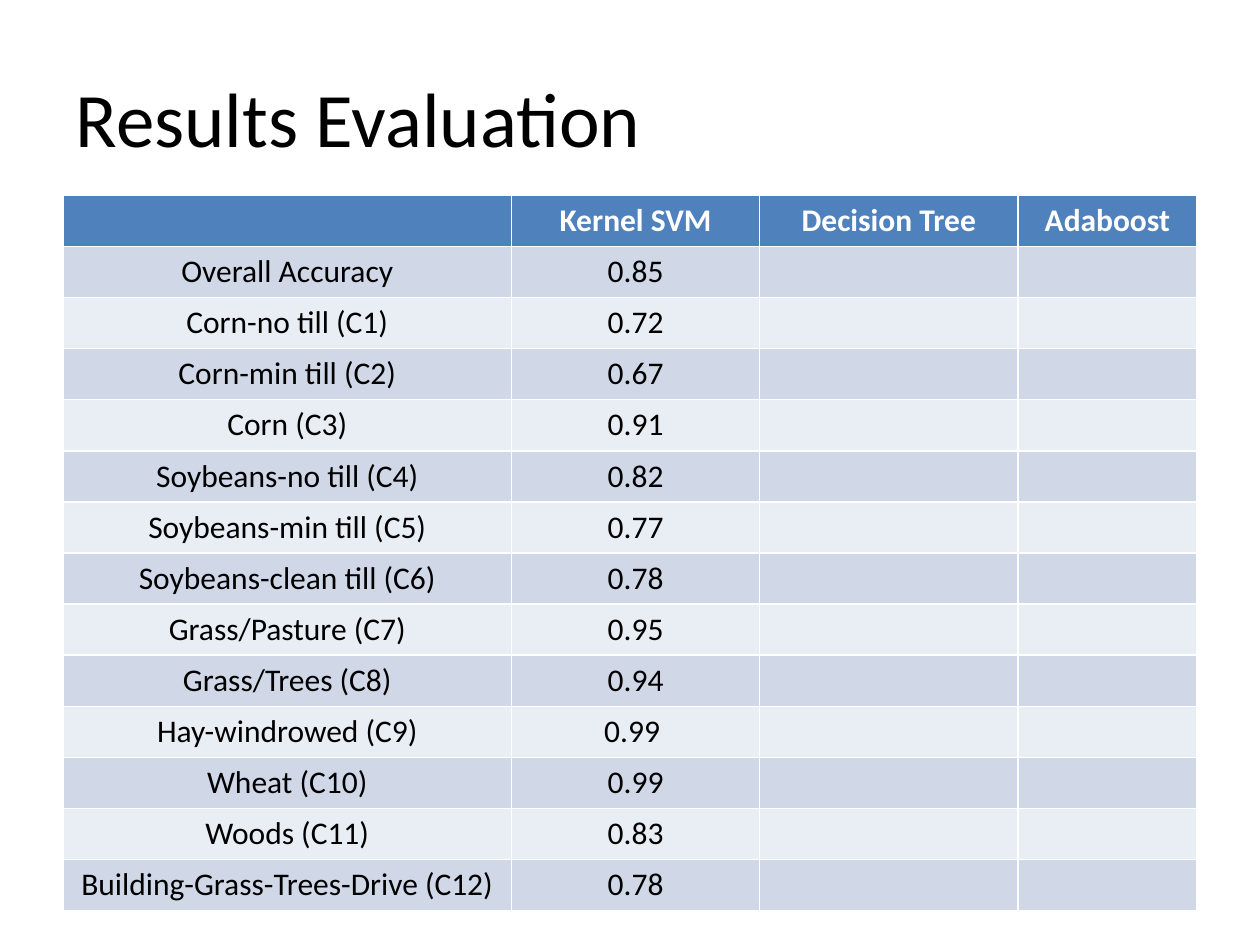
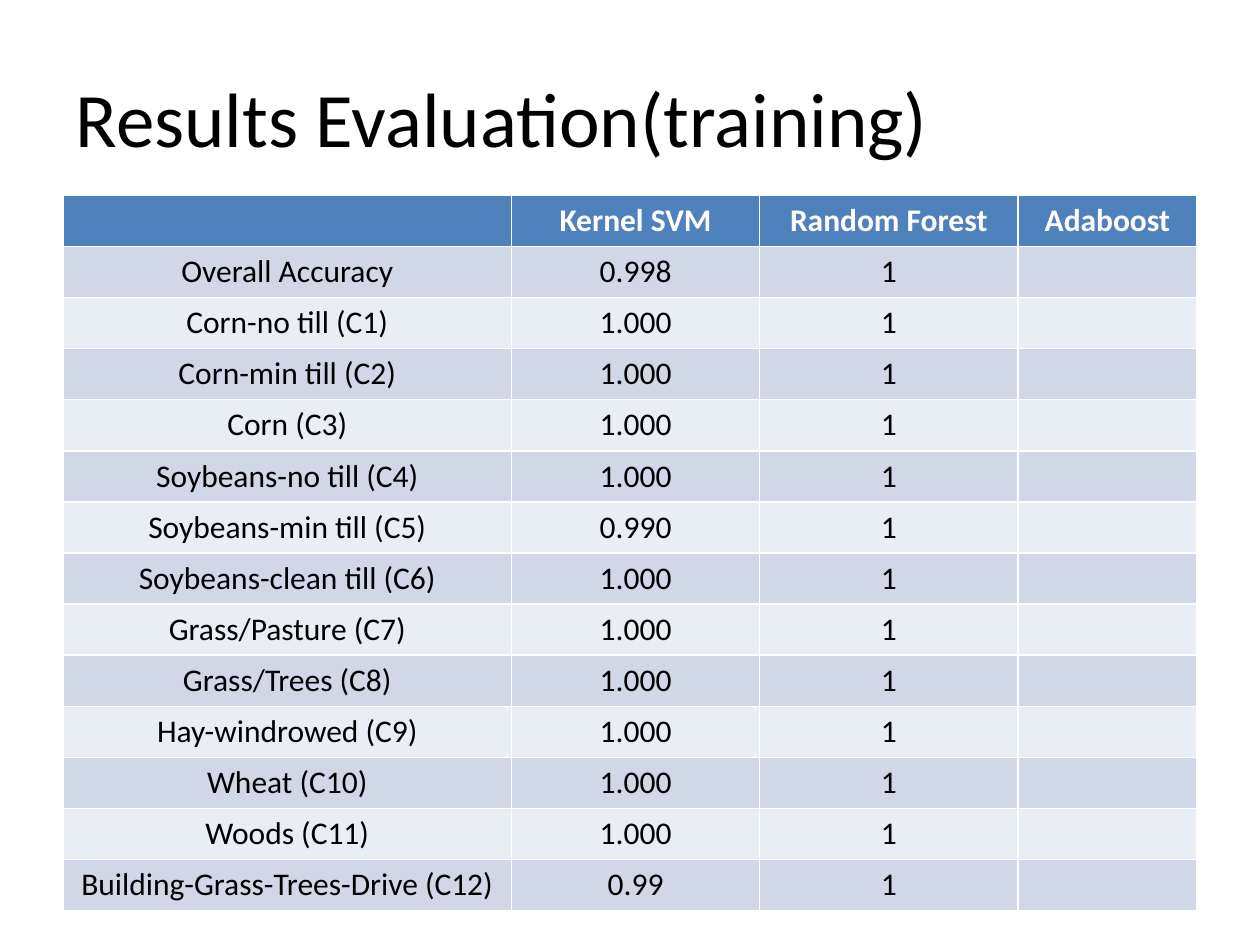
"""Build two slides comparing classifier accuracy per land-cover class."""
from pptx import Presentation
from pptx.dml.color import RGBColor
from pptx.enum.text import MSO_ANCHOR as Anchor, PP_ALIGN as Align
from pptx.util import Inches, Pt

BLACK = RGBColor(0x00, 0x00, 0x00)
WHITE = RGBColor(0xFF, 0xFF, 0xFF)
HEADER_BLUE = RGBColor(0x4F, 0x81, 0xBD)
BANDS = (RGBColor(0xE9, 0xED, 0xF4), RGBColor(0xD0, 0xD8, 0xE8))

MEASURES = (
    "Overall Accuracy", "Corn-no till (C1)", "Corn-min till (C2)", "Corn (C3)",
    "Soybeans-no till (C4)", "Soybeans-min till (C5)", "Soybeans-clean till (C6)",
    "Grass/Pasture (C7)", "Grass/Trees (C8)", "Hay-windrowed (C9)",
    "Wheat (C10)", "Woods (C11)", "Building-Grass-Trees-Drive (C12)",
)
UNTESTED = ("",) * len(MEASURES)
TEST_SVM = ("0.85", "0.72", "0.67", "0.91", "0.82", "0.77", "0.78",
            "0.95", "0.94", "0.99 ", "0.99", "0.83", "0.78")
TRAINING_SVM = ("0.998", *["1.000"] * 4, "0.990", *["1.000"] * 6, "0.99")
TRAINING_FOREST = ("1",) * len(MEASURES)


def write(frame, text, size=18, color=BLACK, bold=False, align=Align.CENTER):
    paragraph = frame.paragraphs[0]
    paragraph.alignment = align
    font = paragraph.font
    if text:
        run = paragraph.add_run()
        run.text = text
        font = run.font
    font.name = "Calibri"
    font.size = Pt(size)
    font.bold = bold
    font.color.rgb = color


class Deck:
    def __init__(self):
        self.show = Presentation()
        self.show.slide_width = Inches(10)
        self.show.slide_height = Inches(7.5)
        self.left, self.width = Inches(0.5), Inches(9)
        self.column_widths = (3.56, 1.97, 2.05, 1.42)
        self.slide = None

    def add_slide(self, heading):
        self.slide = self.show.slides.add_slide(self.show.slide_layouts[5])
        title = self.slide.shapes.title
        title.left, title.top = self.left, Inches(0.3)
        title.width, title.height = self.width, Inches(1.25)
        title.text_frame.vertical_anchor = Anchor.MIDDLE
        write(title.text_frame, heading, size=44, align=Align.LEFT)

    def add_scores(self, scores):
        rows = [("", *scores), *zip(MEASURES, *scores.values())]
        table = self.slide.shapes.add_table(
            len(rows), len(self.column_widths),
            self.left, Inches(1.55), self.width, Inches(5.68)).table
        for column, width in zip(table.columns, self.column_widths):
            column.width = Inches(width)
        for row_number, row in enumerate(rows):
            header = row_number == 0
            for column_number, text in enumerate(row):
                cell = table.cell(row_number, column_number)
                cell.fill.solid()
                cell.fill.fore_color.rgb = HEADER_BLUE if header else BANDS[row_number % 2]
                write(cell.text_frame, text, color=WHITE if header else BLACK, bold=header)


deck = Deck()
deck.add_slide("Results Evaluation")
deck.add_scores({"Kernel SVM": TEST_SVM, "Decision Tree": UNTESTED, "Adaboost": UNTESTED})
deck.add_slide("Results Evaluation(training)")
deck.add_scores({"Kernel SVM": TRAINING_SVM, "Random Forest": TRAINING_FOREST,
                 "Adaboost": UNTESTED})
deck.show.save("out.pptx")
